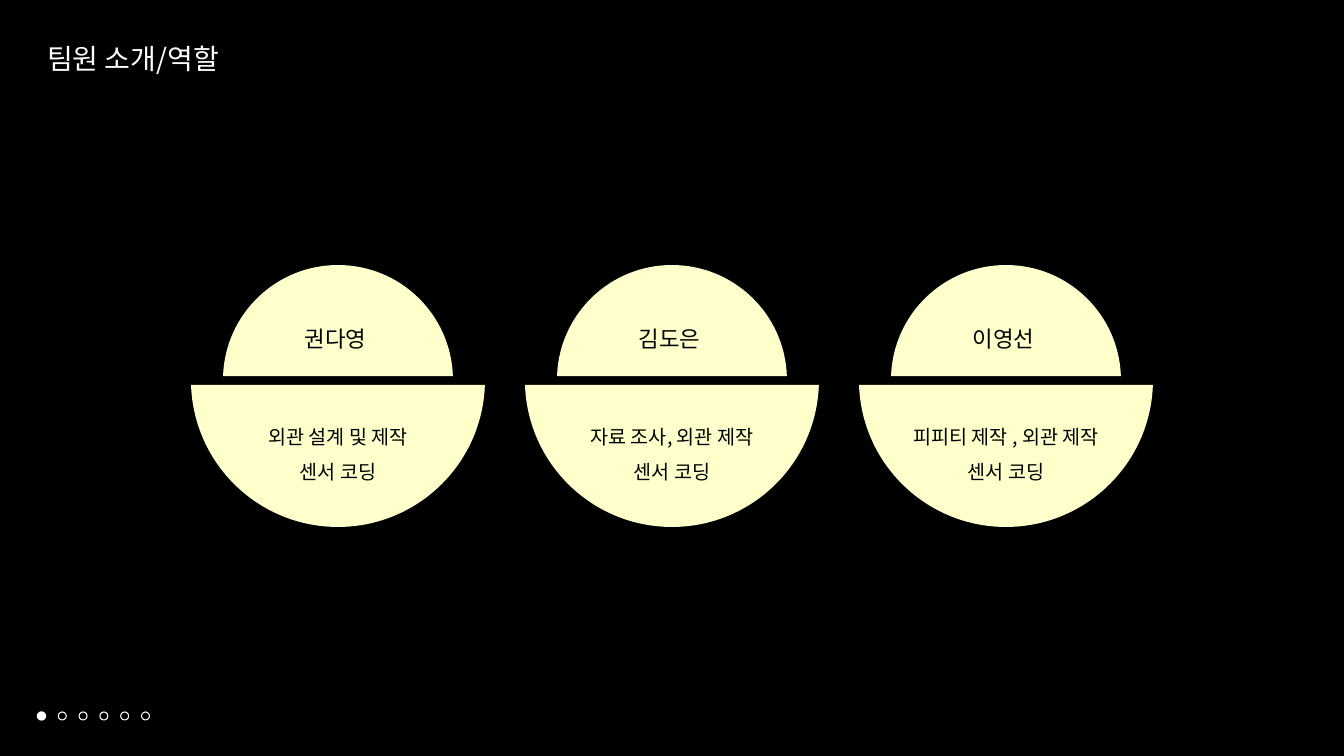
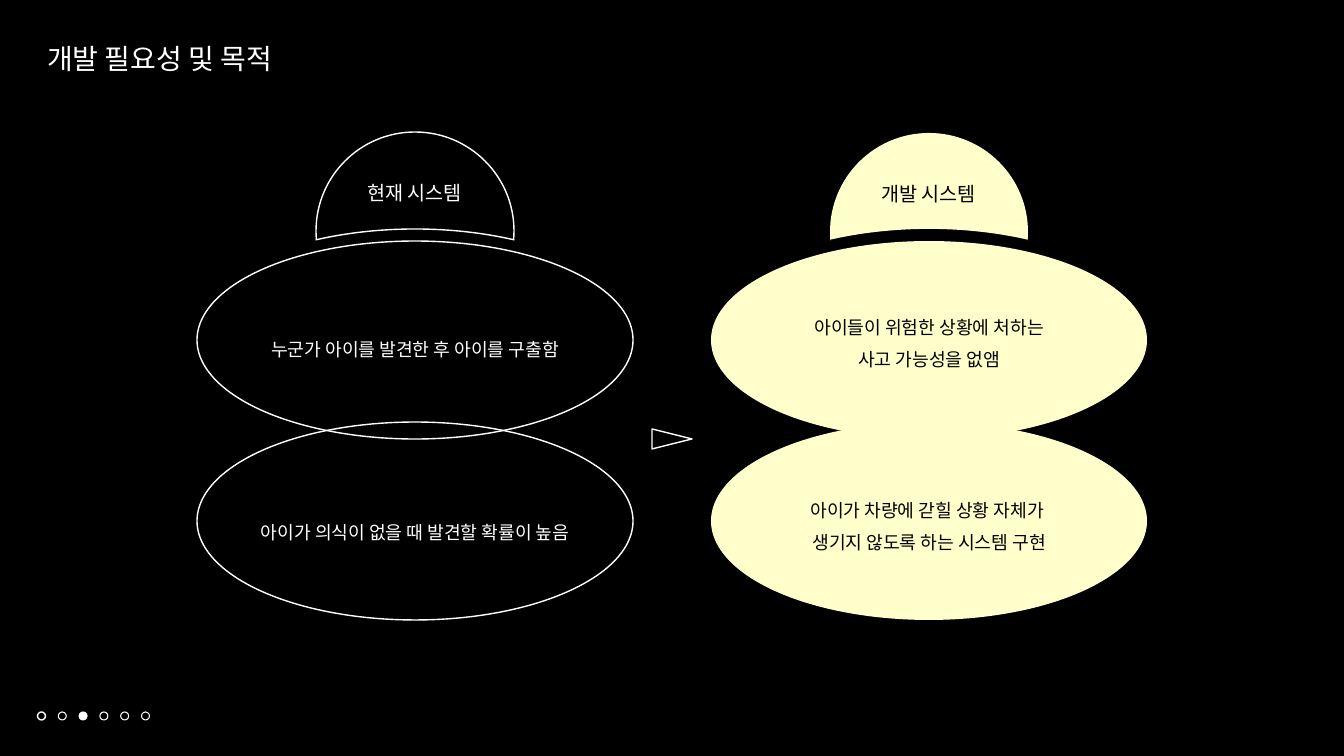
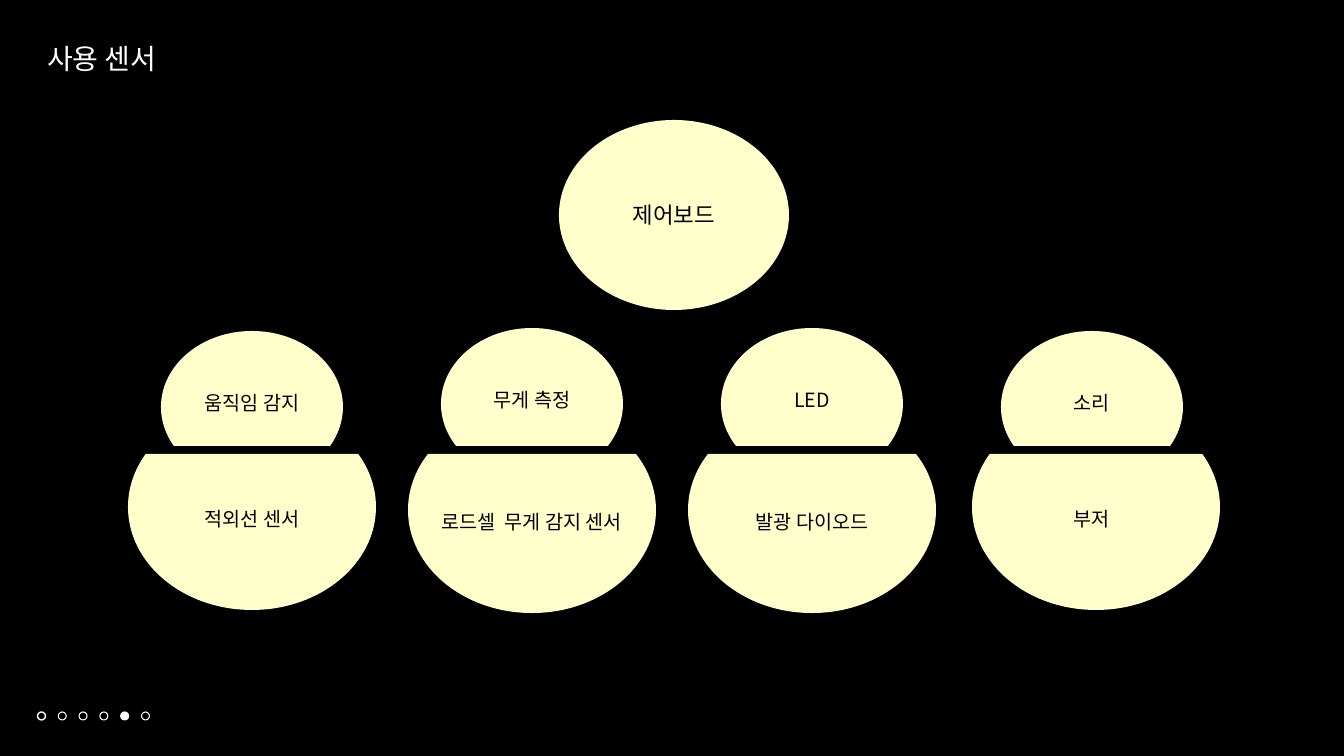
from dataclasses import dataclass
from math import acos, asin, ceil, cos, degrees, floor, radians, sin, tan
from lxml import etree
from pptx import Presentation
from pptx.dml.color import RGBColor
from pptx.enum import shapes, text
from pptx.oxml.ns import qn

PX = 9144000 / 1008


@dataclass(frozen=True)
class Theme:
    back: str = "000000"
    ink: str = "FFFFFF"
    dark: str = "000000"
    cream: str = "FFFFCC"
    font: str = "Noto Sans CJK KR"
    title: int = 20
    head: int = 16
    body: int = 14
    small: int = 13
    line: float = 1
    thin: float = 0.75


T = Theme()
LEFT, MID = text.PP_ALIGN.LEFT, text.PP_ALIGN.CENTER

TEAM = {
    "title": "팀원 소개/역할", "wide": 202, "dot": 0,
    "people": [
        ("권다영", ["외관 설계 및 제작", "센서 코딩"], 168),
        ("김도은", ["자료 조사, 외관 제작", "센서 코딩"], 190),
        ("이영선", ["피피티 제작 , 외관 제작", "센서 코딩"], 213),
    ],
}
NEED = {
    "title": "개발 필요성 및 목적", "wide": 260, "dot": 2,
    "systems": [
        {"name": "현재 시스템", "mid": 415, "dome": 231, "top": 311, "wide": 387,
         "space": 2.0, "fill": None, "line": T.ink, "ink": T.ink,
         "points": [["누군가 아이를 발견한 후 아이를 구출함"],
                    ["아이가 의식이 없을 때 발견할 확률이 높음"]]},
        {"name": "개발 시스템", "mid": 929, "dome": 232, "top": 300, "wide": 480,
         "space": 1.5, "fill": T.cream, "line": None, "ink": T.dark,
         "points": [["아이들이 위험한 상황에 처하는", "사고 가능성을 없앰"],
                    ["아이가 차량에 갇힐 상황 자체가 ", "생기지 않도록 하는 시스템 구현"]]},
    ],
}
PARTS = {
    "title": "사용 센서", "wide": 140, "dot": 4, "hub": "제어보드",
    "sensors": [
        ("움직임 감지", "적외선 센서", 0, 0),
        ("무게 측정", "로드셀  무게 감지 센서", 3, 0),
        ("LED", "발광 다이오드", 3, 0),
        ("소리", "부저", 0, 4),
    ],
}


def emu(*vals):
    return [round(v * PX) for v in vals]


def paint(shape, fill=None, line=None, width=T.line):
    shape.shadow.inherit = False
    if fill:
        shape.fill.solid()
        shape.fill.fore_color.rgb = RGBColor.from_string(fill)
    else:
        shape.fill.background()
    if line:
        shape.line.color.rgb = RGBColor.from_string(line)
        shape.line.width = round(width * 12700)
    else:
        shape.line.fill.background()


def write(frame, lines, size, ink, align=MID, space=1.0):
    frame.text = "\n".join(lines)
    frame.word_wrap = True
    frame.auto_size = text.MSO_AUTO_SIZE.NONE
    for para in frame.paragraphs:
        para.alignment = align
        para.line_spacing = space
        for run in para.runs:
            font = run.font
            font.size = size * 12700
            font.name = T.font
            font.color.rgb = RGBColor.from_string(ink)
            font._element.set("kern", "0")
            etree.SubElement(font._element, qn("a:ea"), typeface=T.font)


def label(slide, box, lines, size, ink=T.dark, align=MID, space=1.0):
    frame = slide.shapes.add_textbox(*emu(*box)).text_frame
    write(frame, lines, size, ink, align, space)


def oval(slide, mid, high, rx, ry, **look):
    box = emu(mid - rx, high - ry, 2 * rx, 2 * ry)
    shape = slide.shapes.add_shape(shapes.MSO_SHAPE.OVAL, *box)
    paint(shape, **look)
    return shape


def arc(mid, high, rx, ry, start, end):
    low, top = sorted((start, end))
    turns = [90 * i for i in range(floor(low / 90) + 1, ceil(top / 90))]
    turns = [low, *turns, top]
    if start > end:
        turns.reverse()

    def spot(turn, pull=0.0):
        x, y = cos(turn), sin(turn)
        return mid + rx * (x - pull * y), high + ry * (y + pull * x)

    curves = []
    for one, two in zip(turns, turns[1:]):
        a, b = radians(one), radians(two)
        pull = 4 / 3 * tan((b - a) / 4)
        curves.append((spot(a, pull), spot(b, -pull), spot(b)))
    return spot(radians(start)), curves


def form(slide, *arcs, **look):
    steps = []
    for first, curves in arcs:
        steps += [(first,), *curves]
    ends = [emu(*step[-1]) for step in steps]
    build = slide.shapes.build_freeform(*ends[0], scale=1.0)
    build.add_line_segments(ends[1:], close=True)
    shape = build.convert_to_shape()
    lines = list(shape._element.iter(qn("a:lnTo")))
    for line, step in zip(lines, steps[1:]):
        if len(step) == 3:
            curve = etree.Element(qn("a:cubicBezTo"))
            for point in step:
                x, y = emu(*point)
                etree.SubElement(curve, qn("a:pt"), x=str(x - shape.left),
                                 y=str(y - shape.top))
            line.getparent().replace(line, curve)
    paint(shape, **look)


def carve(slide, mid, high, rx, ry, cut, upper):
    turn = degrees(asin((cut - high) / ry))
    end = (-180 if upper else 180) - turn
    form(slide, arc(mid, high, rx, ry, turn, end), fill=T.cream)


def start(deck, data):
    slide = deck.slides.add_slide(deck.slide_layouts[5])
    title = slide.shapes.title
    title.left, title.top, title.width, title.height = emu(37, 36, data["wide"], 44)
    title.text_frame.vertical_anchor = text.MSO_ANCHOR.TOP
    write(title.text_frame, [data["title"]], T.title, T.ink, LEFT)
    for i in range(6):
        oval(slide, 41.5 + 20.8 * i, 716, 4, 4,
             fill=T.ink if i == data["dot"] else None,
             line=T.ink, width=T.thin if i else T.line)
    return slide


def team(deck):
    slide = start(deck, TEAM)
    for i, (name, jobs, wide) in enumerate(TEAM["people"]):
        mid = 338 + 334 * i
        carve(slide, mid, 380, 115, 115, 376, True)
        carve(slide, mid, 380, 147, 147, 385, False)
        label(slide, (mid - 43, 320, 86, 37), [name], T.head, align=LEFT)
        label(slide, (mid - wide / 2, 408, wide, 78), jobs, T.body, space=1.5)


def need(deck):
    slide = start(deck, NEED)
    rx, ry, gap, high, head = 218, 99, 12, 340, 99
    edge = degrees(acos(head / (rx + gap)))
    for part in NEED["systems"]:
        mid, wide, top = part["mid"], part["wide"], part["dome"]
        look = {"fill": part["fill"], "line": part["line"]}
        dome = arc(mid, top, head, head, -185, 5)
        base = arc(mid, high, rx + gap, ry + gap, -edge, edge - 180)
        form(slide, dome, base, **look)
        for i, lines in enumerate(part["points"]):
            oval(slide, mid, high + 181 * i, rx, ry, **look)
        for i, lines in enumerate(part["points"]):
            label(slide, (mid - wide / 2, part["top"] + 183 * i, wide, 74),
                  lines, T.small, part["ink"], space=part["space"])
        label(slide, (mid - 77, top - 79, 153, 51), [part["name"]], T.body,
              part["ink"], space=2.0)
    arrow = slide.shapes.add_shape(shapes.MSO_SHAPE.ISOSCELES_TRIANGLE,
                                   *emu(662, 419, 20, 40))
    arrow.rotation = 90
    paint(arrow, line=T.ink)


def parts(deck):
    slide = start(deck, PARTS)
    hub = oval(slide, 674, 215, 115, 95, fill=T.cream)
    hub.text_frame.vertical_anchor = text.MSO_ANCHOR.MIDDLE
    write(hub.text_frame, [PARTS["hub"]], T.head, T.dark)
    for i, (role, name, lift, side) in enumerate(PARTS["sensors"]):
        mid = 252 + 280 * i
        carve(slide, mid, 407 - lift, 91, 76, 446, True)
        carve(slide, mid + side, 507 + lift, 124, 103, 454, False)
        label(slide, (mid - 73, 374 - lift, 146, 42), [role], T.body, space=1.5)
        label(slide, (mid - 138, 490 + lift, 276, 42), [name], T.body, space=1.5)


def main():
    deck = Presentation()
    deck.slide_width, deck.slide_height = emu(1344, 756)
    fill = deck.slide_master.background.fill
    fill.solid()
    fill.fore_color.rgb = RGBColor.from_string(T.back)
    for build in (team, need, parts):
        build(deck)
    deck.save("out.pptx")


if __name__ == "__main__":
    main()
